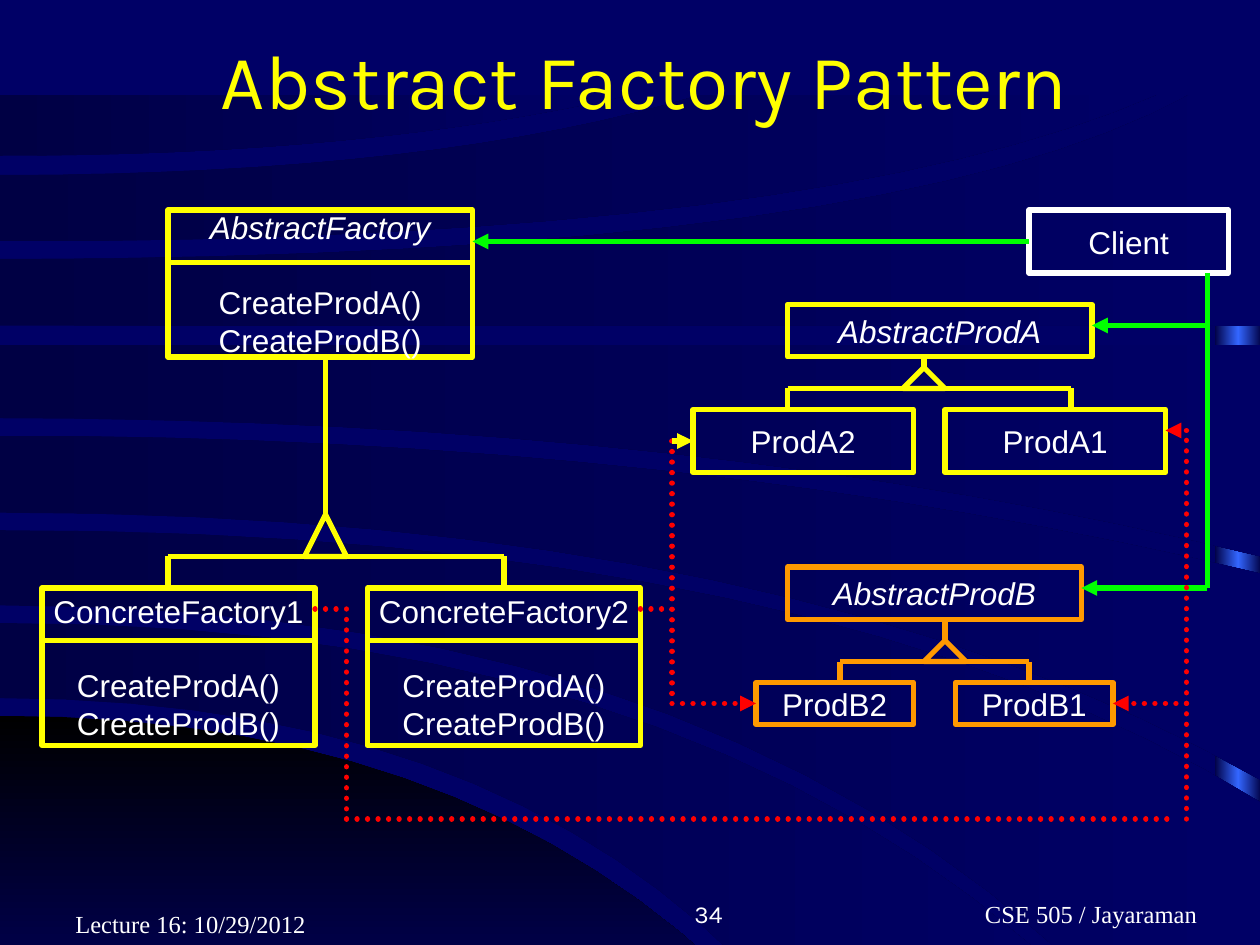
from dataclasses import dataclass
from typing import Optional

from lxml import etree
from pptx import Presentation
from pptx.dml.color import RGBColor
from pptx.enum.dml import MSO_LINE
from pptx.enum.shapes import MSO_CONNECTOR, MSO_SHAPE
from pptx.enum.text import MSO_ANCHOR, PP_ALIGN
from pptx.oxml.ns import qn
from pptx.util import Pt

RECT, TRIANGLE = MSO_SHAPE.RECTANGLE, MSO_SHAPE.FLOWCHART_EXTRACT
STRAIGHT = MSO_CONNECTOR.STRAIGHT
DOT, DASH = MSO_LINE.ROUND_DOT, MSO_LINE.DASH
MIDDLE, BOTTOM = MSO_ANCHOR.MIDDLE, MSO_ANCHOR.BOTTOM
LEFT, CENTER, RIGHT = PP_ALIGN.LEFT, PP_ALIGN.CENTER, PP_ALIGN.RIGHT
SIDE_LEFT, SIDE_RIGHT = 1, 3

NAVY, DARK, BLUE, BLACK = "000066", "000044", "3366FF", "000000"
YELLOW, ORANGE, GREEN, RED, WHITE = "FFFF00", "FF9900", "00FF00", "FF0000", "FFFFFF"
METHODS = ("CreateProdA()", "CreateProdB()")
CURVE_STEPS = 16


@dataclass
class Edge:
    """Quadratic curve that leaves the left side of the slide horizontally."""
    y: float
    end_x: float
    end_y: float
    bend_x: float = 360

    def points(self) -> list[tuple[float, float]]:
        ts = [i / CURVE_STEPS for i in range(CURVE_STEPS + 1)]
        return [(2 * t * (1 - t) * self.bend_x + t * t * self.end_x,
                 self.y + t * t * (self.end_y - self.y)) for t in ts]


@dataclass
class Band:
    top: Edge
    bottom: Edge
    corner: tuple[tuple[float, float], ...] = ()


@dataclass
class Box:
    name: str
    x: float
    y: float
    w: float
    h: float
    color: str = YELLOW
    italic: bool = False
    divider: float = 0  # height of the name compartment; 0 means no methods


@dataclass
class Tree:
    x: float
    parent_y: float
    tip_y: float
    bar_y: float
    child_xs: tuple[float, float]
    child_y: float
    color: str = YELLOW


@dataclass
class Wire:
    x1: float
    y1: float
    x2: float
    y2: float
    color: str
    arrow: bool = False
    dash: Optional[MSO_LINE] = None
    begin: Optional[tuple[str, int]] = None
    end: Optional[tuple[str, int]] = None


@dataclass
class Label:
    text: str
    x: float
    y: float
    w: float
    h: float
    size: float
    font: str
    align: PP_ALIGN
    color: str = WHITE
    anchor: MSO_ANCHOR = BOTTOM
    inset: float = 7.2


CORNER = Band(Edge(409, 453, 596, 293), Edge(596, 453, 596))
BANDS = [
    Band(Edge(356, 644, 594, 428), Edge(399, 463, 594, 310)),
    Band(Edge(303, 721, 459, 470), Edge(346, 655, 594, 436), ((721, 594),)),
    Band(Edge(249, 721, 328, 392), Edge(293, 721, 446, 453)),
    Band(Edge(197, 721, 197), Edge(239, 721, 318, 400)),
    Band(Edge(186, 721, 186), Edge(148, 680, 54, 510), ((721, 54),)),
    Band(Edge(100, 401, 54, 250), Edge(138, 661, 54, 470)),
    Band(Edge(54, 361, 54, 180), Edge(89, 361, 54, 210)),
]
BOXES = [
    Box("AbstractFactory", 96, 120, 174, 84, italic=True, divider=30),
    Box("ConcreteFactory1", 24, 336, 156, 90, divider=30),
    Box("ConcreteFactory2", 210, 336, 156, 90, divider=30),
    Box("Client", 588, 120, 114, 36, WHITE),
    Box("AbstractProdA", 450, 174, 174, 30, italic=True),
    Box("ProdA2", 396, 234, 126, 36),
    Box("ProdA1", 540, 234, 126, 36),
    Box("AbstractProdB", 450, 324, 168, 30, ORANGE, italic=True),
    Box("ProdB2", 432, 390, 90, 24, ORANGE),
    Box("ProdB1", 546, 390, 90, 24, ORANGE),
]
TREES = [
    Tree(186, 204, 294, 318, (96, 288), 336),
    Tree(528, 204, 210, 222, (450, 612), 234),
    Tree(540, 354, 366, 378, (480, 588), 390, ORANGE),
]
WIRES = [
    # What the client uses
    Wire(588, 138, 270, 138, GREEN, arrow=True, begin=("Client", SIDE_LEFT)),
    Wire(690, 156, 690, 336, GREEN),
    Wire(690, 186, 624, 186, GREEN, arrow=True),
    Wire(690, 336, 618, 336, GREEN, arrow=True),
    # What ConcreteFactory2 creates
    Wire(384, 252, 384, 402, RED, dash=DOT),
    Wire(384, 252, 396, 252, YELLOW, True, DASH, end=("ProdA2", SIDE_LEFT)),
    Wire(384, 402, 432, 402, RED, True, DOT, end=("ProdB2", SIDE_LEFT)),
    Wire(366, 348, 384, 348, RED, dash=DOT),
    # What ConcreteFactory1 creates
    Wire(180, 348, 198, 348, RED, dash=DOT),
    Wire(198, 348, 198, 468, RED, dash=DOT),
    Wire(198, 468, 672, 468, RED, dash=DOT),
    Wire(678, 468, 678, 246, RED, dash=DOT),
    Wire(678, 246, 666, 246, RED, True, DOT),
    Wire(678, 402, 636, 402, RED, True, DOT, end=("ProdB1", SIDE_RIGHT)),
]
LABELS = [
    Label("Abstract Factory Pattern", 30, 0, 648, 90, 44, "Karla", CENTER, YELLOW, MIDDLE, 36),
    Label("Lecture 16: 10/29/2012", 36, 504, 150, 36, 14, "Times New Roman", LEFT),
    Label("34", 270, 498, 150, 36, 14, "Karla", RIGHT),
    Label("CSE 505 / Jayaraman", 474, 498, 228, 36, 14, "Times New Roman", CENTER, inset=78),
]


def rgb(color: str) -> RGBColor:
    return RGBColor.from_string(color)


def paint_gradient(sp, colors: list[str], clockwise: int = 0) -> None:
    sp.shadow.inherit = False
    sp.line.fill.background()
    sp.fill.gradient()
    sp.fill.gradient_angle = (360 - clockwise) % 360
    stops = sp._element.spPr.find(".//" + qn("a:gsLst"))
    stops.clear()
    for i, color in enumerate(colors):
        stop = etree.SubElement(stops, qn("a:gs"), pos=str(i * 100000 // (len(colors) - 1)))
        etree.SubElement(stop, qn("a:srgbClr"), val=color)


def draw_band(slide, band: Band, colors: list[str], clockwise: int = 0) -> None:
    outline = [*band.top.points(), *band.corner, *reversed(band.bottom.points())]
    pts = [(Pt(x), Pt(y)) for x, y in outline]
    fb = slide.shapes.build_freeform(*pts[0])
    fb.add_line_segments(pts[1:])
    paint_gradient(fb.convert_to_shape(), colors, clockwise)


def add_run(p, text: str, size: float, font: str, color: str, italic: bool = False) -> None:
    r = p.add_run()
    r.text = text
    r.font.size, r.font.name, r.font.italic = Pt(size), font, italic
    r.font.color.rgb = rgb(color)


def draw_outline(slide, kind, x: float, y: float, w: float, h: float, color: str):
    sp = slide.shapes.add_shape(kind, Pt(x), Pt(y), Pt(w), Pt(h))
    sp.shadow.inherit = False
    sp.fill.background()
    sp.line.color.rgb, sp.line.width = rgb(color), Pt(3)
    return sp


def draw_wire(slide, wire: Wire, shapes: dict) -> None:
    cx = slide.shapes.add_connector(STRAIGHT, Pt(wire.x1), Pt(wire.y1), Pt(wire.x2), Pt(wire.y2))
    if wire.begin:
        cx.begin_connect(shapes[wire.begin[0]], wire.begin[1])
    if wire.end:
        cx.end_connect(shapes[wire.end[0]], wire.end[1])
    cx.line.color.rgb, cx.line.width = rgb(wire.color), Pt(3)
    ln = cx.line._get_or_add_ln()
    if wire.dash:
        cx.line.dash_style = wire.dash
    if wire.dash == DOT:
        ln.set("cap", "rnd")
    if wire.arrow:
        etree.SubElement(ln, qn("a:tailEnd"), type="triangle")
    etree.SubElement(cx._element.spPr, qn("a:effectLst"))


def draw_box(slide, box: Box):
    sp = draw_outline(slide, RECT, box.x, box.y, box.w, box.h, box.color)
    tf = sp.text_frame
    tf.word_wrap, tf.vertical_anchor = False, MIDDLE
    for i, text in enumerate((box.name, *METHODS) if box.divider else (box.name,)):
        p = tf.add_paragraph() if i else tf.paragraphs[0]
        p.alignment = CENTER
        if i == 1:
            p.space_before = Pt(21)
        add_run(p, text, 18, "Arial", WHITE, box.italic and i == 0)
    if box.divider:
        y = box.y + box.divider
        draw_wire(slide, Wire(box.x, y, box.x + box.w, y, box.color), {})
    return sp


def draw_tree(slide, tree: Tree) -> None:
    for x in tree.child_xs:
        draw_wire(slide, Wire(x, tree.bar_y, x, tree.child_y, tree.color), {})
    first, last = tree.child_xs
    draw_wire(slide, Wire(first, tree.bar_y, last, tree.bar_y, tree.color), {})
    draw_outline(slide, TRIANGLE, tree.x - 12, tree.tip_y, 24, tree.bar_y - tree.tip_y, tree.color)
    draw_wire(slide, Wire(tree.x, tree.tip_y, tree.x, tree.parent_y, tree.color), {})


def draw_label(slide, label: Label) -> None:
    tf = slide.shapes.add_textbox(Pt(label.x), Pt(label.y), Pt(label.w), Pt(label.h)).text_frame
    tf.word_wrap, tf.vertical_anchor, tf.margin_left = True, label.anchor, Pt(label.inset)
    p = tf.paragraphs[0]
    p.alignment = label.align
    add_run(p, label.text, label.size, label.font, label.color)


# Background, then text, then the class diagram
prs = Presentation()
prs.slide_width, prs.slide_height = Pt(720), Pt(540)
s = prs.slides.add_slide(prs.slide_layouts[6])
s.background.fill.solid()
s.background.fill.fore_color.rgb = rgb(NAVY)
strip = s.shapes.add_shape(RECT, Pt(694), Pt(55), Pt(27), Pt(540))
paint_gradient(strip, [DARK, BLUE, DARK])
draw_band(s, CORNER, [BLACK, NAVY], 90)
for band in BANDS:
    draw_band(s, band, [DARK, NAVY])
for label in LABELS:
    draw_label(s, label)
boxes = {box.name: draw_box(s, box) for box in BOXES}
for tree in TREES:
    draw_tree(s, tree)
for wire in WIRES:
    draw_wire(s, wire, boxes)
prs.save("out.pptx")
